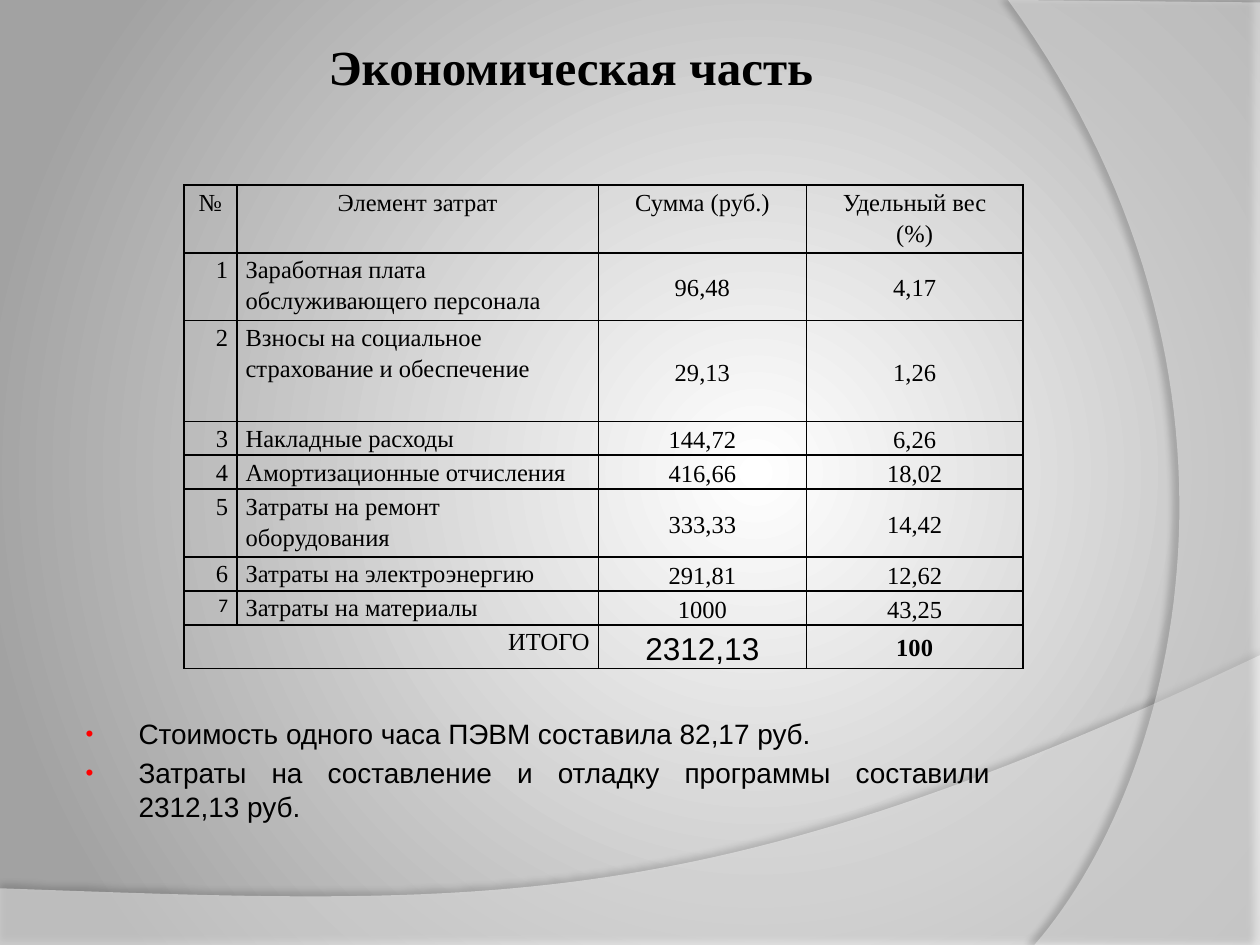
from dataclasses import dataclass

import lxml.etree
import pptx
import pptx.dml.color
import pptx.enum.text
import pptx.oxml
import pptx.oxml.ns
import pptx.util

ALIGN = pptx.enum.text.PP_ALIGN
ANCHOR = pptx.enum.text.MSO_ANCHOR
NS = 'xmlns:a="http://schemas.openxmlformats.org/drawingml/2006/main"'
UNIT = 0.1  # the slide is a grid of 100 columns by 75 rows
COLUMNS, ROWS = 100, 75
SERIF = {"name": "Times New Roman", "size": 14}
COL_WIDTHS = (4.2, 28.7, 16.5, 17.2)
ROW_HEIGHTS = (5.3, 5.3, 8) + (2.7,) * 6
COL_ALIGN = (ALIGN.RIGHT, ALIGN.LEFT, ALIGN.CENTER, ALIGN.CENTER)
COSTS = (
    ("№", "Элемент затрат", "Сумма (руб.)", "Удельный вес\n(%)"),
    ("1", "Заработная плата обслуживающего персонала", "96,48", "4,17"),
    ("2", "Взносы на социальное страхование и обеспечение", "29,13", "1,26"),
    ("3", "Накладные расходы", "144,72", "6,26"),
    ("4", "Амортизационные отчисления", "416,66", "18,02"),
    ("5", "Затраты на ремонт оборудования", "333,33", "14,42"),
    ("6", "Затраты на электроэнергию", "291,81", "12,62"),
    ("7", "Затраты на материалы", "1000", "43,25"),
    ("ИТОГО", "", "2312,13", "100"),
)
SPECIAL_FORMATS = {
    (7, 0): {"name": "Calibri", "size": 11},
    (8, 2): {"name": "Arial", "size": 18},
    (8, 3): {"bold": True},
}
CONCLUSIONS = (
    "Стоимость одного часа ПЭВМ составила 82,17 руб.",
    "Затраты на составление и отладку программы составили 2312,13 руб.",
)


@dataclass
class Wave:
    """A translucent band: straight corners closed by one Bezier curve."""
    corners: list
    curve: list
    alpha: int
    shadow_alpha: int
    shadow_distance: float
    shadow_angle: int


WAVES = (
    Wave([(0, 75.1), (100, 75.1)],
         [(100, 52), (55.9, 72.9), (39.1, 71.9), (0, 70.5)], 45, 35, 3.5, 270),
    Wave([(100, 0.2), (100, 75)],
         [(82.1, 75), (93.5, 61.9), (101.8, 30), (80, 0)], 40, 45, 4, 180),
)


def grid(n: float) -> int:
    return pptx.util.Inches(n * UNIT)


def rgb(value: str):
    return pptx.dml.color.RGBColor.from_string(value)


def xml(tag: str, attrs: str = "", body: str = ""):
    return pptx.oxml.parse_xml(f"<a:{tag} {NS} {attrs}>{body}</a:{tag}>")


def format_font(font, values: dict) -> None:
    for name, value in values.items():
        setattr(font, name, pptx.util.Pt(value) if name == "size" else value)
    font.color.rgb = rgb("000000")


def set_background(slide) -> None:
    fill = slide.background.fill
    fill.solid()
    solid = slide.background._cSld.bg.bgPr.find(pptx.oxml.ns.qn("a:solidFill"))
    stops = "".join(f'<a:gs pos="{pos}"><a:srgbClr val="{color}"/></a:gs>'
                    for pos, color in ((0, "FFFFFF"), (100000, "A2A2A2")))
    gradient = xml("gradFill", 'rotWithShape="1"',
                   f'<a:gsLst>{stops}</a:gsLst><a:path path="circle">'
                   '<a:fillToRect l="60000" t="50000" r="40000" b="50000"/></a:path>')
    solid.getparent().replace(solid, gradient)


def bezier(points: list, steps: int = 60) -> list:
    """Sample a cubic Bezier curve into evenly stepped points."""
    weights = [((1 - t) ** 3, 3 * t * (1 - t) ** 2, 3 * t * t * (1 - t), t ** 3)
               for t in (i / steps for i in range(steps + 1))]
    return [tuple(sum(k * pt[axis] for k, pt in zip(w, points)) for axis in (0, 1))
            for w in weights]


def add_wave(slide, wave: Wave) -> None:
    outline = [(grid(x), grid(y)) for x, y in wave.corners + bezier(wave.curve)]
    builder = slide.shapes.build_freeform(*outline[0])
    builder.add_line_segments(outline[1:], close=True)
    sp = builder.convert_to_shape()
    sp.fill.solid()
    sp.fill.fore_color.rgb = rgb("FFFFFF")
    sp.line.fill.background()
    sp.shadow.inherit = False
    props = sp._element.spPr
    color = props.find(".//" + pptx.oxml.ns.qn("a:srgbClr"))
    color.append(xml("alpha", f'val="{wave.alpha * 1000}"'))
    props.find(pptx.oxml.ns.qn("a:effectLst")).append(xml(
        "outerShdw",
        f'blurRad="{pptx.util.Pt(4)}" dist="{pptx.util.Pt(wave.shadow_distance)}" '
        f'dir="{wave.shadow_angle * 60000}" algn="ctr" rotWithShape="0"',
        f'<a:srgbClr val="000000"><a:alpha val="{wave.shadow_alpha * 1000}"/></a:srgbClr>'))


def add_text_box(slide, left: float, top: float, width: float, height: float):
    sp = slide.shapes.add_textbox(*map(grid, (left, top, width, height)))
    tf = sp.text_frame
    tf.word_wrap = True
    tf.vertical_anchor = ANCHOR.MIDDLE
    for side in ("left", "top", "right", "bottom"):
        setattr(tf, f"margin_{side}", pptx.util.Inches(0.05))
    return tf


def add_title(slide, text: str) -> None:
    p = add_text_box(slide, 13, 1.3, 64.6, 7.9).paragraphs[0]
    p.text = text
    p.alignment = ALIGN.CENTER
    format_font(p.runs[0].font, SERIF | {"size": 28, "bold": True})


def add_conclusions(slide, lines: tuple) -> None:
    tf = add_text_box(slide, 5.9, 56.4, 73.2, 9.4)
    for i, line in enumerate(lines):
        p = tf.add_paragraph() if i else tf.paragraphs[0]
        p.text = line
        p.alignment = ALIGN.JUSTIFY
        p.space_before = pptx.util.Pt(3.2 if i else 0)
        props = p._p.get_or_add_pPr()
        props.set("marL", str(grid(4.6)))
        props.set("indent", str(grid(-4.2)))
        props.append(xml("buClr", body='<a:srgbClr val="FF0000"/>'))
        props.append(xml("buSzPct", 'val="80000"'))
        props.append(xml("buFont", 'typeface="Arial"'))
        props.append(xml("buChar", 'char="•"'))
        format_font(p.runs[0].font, {"name": "Arial", "size": 16})


def draw_borders(cell) -> None:
    props = cell._tc.get_or_add_tcPr()
    for i, side in enumerate(("lnL", "lnR", "lnT", "lnB")):
        props.insert(i, xml(side, f'w="{pptx.util.Pt(1)}"',
                            '<a:solidFill><a:srgbClr val="000000"/></a:solidFill>'))


def fill_cell(cell, text: str, align, anchor, font: dict) -> None:
    cell.text = text
    cell.vertical_anchor = anchor
    cell.margin_left = cell.margin_right = pptx.util.Inches(0.07)
    cell.margin_top = cell.margin_bottom = 0
    cell.fill.background()
    draw_borders(cell)
    for p in cell.text_frame.paragraphs:
        p.alignment = align
        p.line_spacing = 1.15
        format_font(p.font, font)
        for r in p.runs:
            format_font(r.font, font)


def add_cost_table(slide) -> None:
    frame = slide.shapes.add_table(len(COSTS), len(COL_WIDTHS), grid(14.6), grid(14.7),
                                   grid(sum(COL_WIDTHS)), grid(sum(ROW_HEIGHTS)))
    table = frame.table
    table.first_row = table.horz_banding = False
    for column, width in zip(table.columns, COL_WIDTHS):
        column.width = grid(width)
    for row, height in zip(table.rows, ROW_HEIGHTS):
        row.height = grid(height)
    for i, values in enumerate(COSTS):
        for j, text in enumerate(values):
            align = COL_ALIGN[j] if i else ALIGN.CENTER
            anchor = ANCHOR.MIDDLE if i and j > 1 else ANCHOR.TOP
            fill_cell(table.cell(i, j), text, align, anchor,
                      SERIF | SPECIAL_FORMATS.get((i, j), {}))
    last = len(COSTS) - 1
    table.cell(last, 0).merge(table.cell(last, 1))


def main() -> None:
    prs = pptx.Presentation()
    prs.slide_width, prs.slide_height = grid(COLUMNS), grid(ROWS)
    slide = prs.slides.add_slide(prs.slide_layouts[6])
    set_background(slide)
    for wave in WAVES:
        add_wave(slide, wave)
    add_title(slide, "Экономическая часть")
    add_cost_table(slide)
    add_conclusions(slide, CONCLUSIONS)
    prs.save("out.pptx")


if __name__ == "__main__":
    main()
